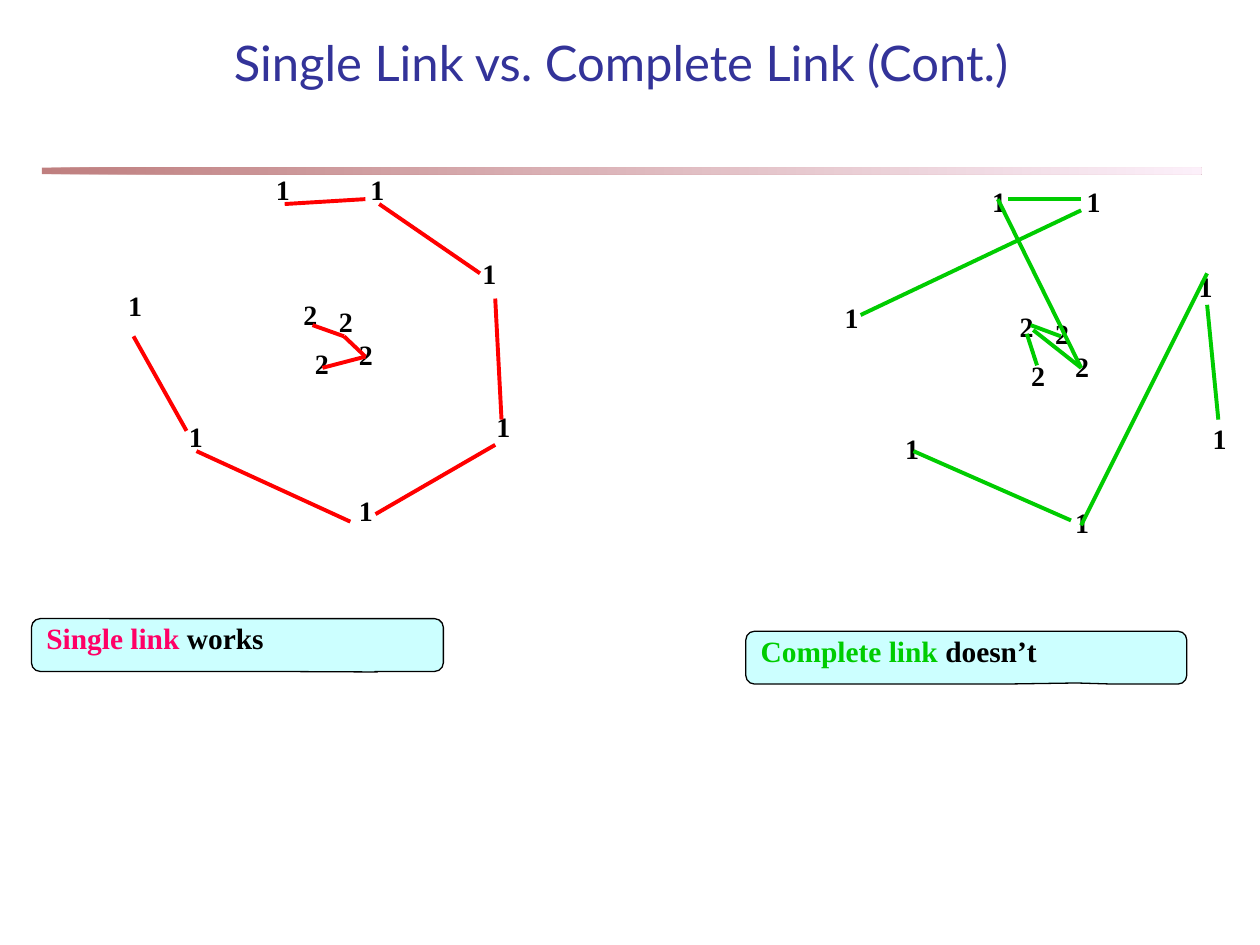
from lxml.etree import SubElement
from pptx import Presentation
from pptx.dml.color import RGBColor
from pptx.enum.shapes import MSO_CONNECTOR, MSO_SHAPE
from pptx.enum.text import MSO_ANCHOR, MSO_AUTO_SIZE, PP_ALIGN
from pptx.oxml.ns import qn
from pptx.util import Pt

STRAIGHT = MSO_CONNECTOR.STRAIGHT
RECTANGLE = MSO_SHAPE.RECTANGLE
CALLOUT = MSO_SHAPE.ROUNDED_RECTANGULAR_CALLOUT
TOP, BOTTOM = MSO_ANCHOR.TOP, MSO_ANCHOR.BOTTOM
LEFT, CENTER = PP_ALIGN.LEFT, PP_ALIGN.CENTER
NO_FIT, GROW = MSO_AUTO_SIZE.NONE, MSO_AUTO_SIZE.SHAPE_TO_FIT_TEXT

TITLE_FONT, BODY_FONT = "Lato", "Times New Roman"
BLACK, RED, GREEN, PINK = "000000", "FF0000", "00CC00", "FF0066"
TITLE_BLUE, PALE_CYAN = "333399", "CCFFFF"

CLUSTER_LABELS = [
    ("1", 66.2, 161.3), ("1", 150.5, 95), ("1", 204.5, 95), ("1", 268.6, 143.3),
    ("1", 276.5, 230.4), ("1", 198, 278.6), ("1", 100.8, 236.2),
    ("2", 166.3, 166.3), ("2", 186.5, 170.6), ("2", 198, 189.4), ("2", 172.8, 194.4),
]
COMPLETE_OFFSET = (409.3, 7)

SINGLE_LINKS = [
    (178.6, 185.8, 196.6, 192.2), (196.6, 192.2, 208.8, 203.8),
    (208.8, 203.8, 184.3, 210.2), (208.8, 113.8, 162.7, 116.6),
    (274.3, 156.2, 216.7, 116.6), (286.6, 239.8, 283, 170.6),
    (214.6, 293.8, 283, 254.2), (112.3, 257.8, 200.2, 298.1),
    (76.3, 192.2, 106.6, 246.2),
]
COMPLETE_LINKS = [
    (606.2, 192.2, 589, 185.8), (592.6, 208.8, 586.8, 190.8),
    (617.8, 210.2, 590.4, 188.6), (617.8, 113.8, 576, 113.8),
    (696.2, 239.8, 689.8, 174.2), (522, 257.8, 612, 297.4),
    (570.2, 113.8, 617.8, 210.2), (491.8, 180, 617.8, 120.2),
    (617.8, 300.2, 689.8, 156.2),
]


def color(value):
    """Return the colour for a hex string."""
    return RGBColor.from_string(value)


def points(*values):
    """Return the lengths given in points."""
    return [Pt(value) for value in values]


def style_font(font, name, size, value, bold=False):
    """Set the face, size, colour and weight of a font."""
    font.name, font.size, font.bold = name, Pt(size), bold
    font.color.rgb = color(value)


def set_title(page, text):
    """Place and format the slide title."""
    title = page.shapes.title
    title.left, title.top, title.width, title.height = points(48.2, 7.9, 613.4, 48.2)
    frame = title.text_frame
    frame.text = text
    frame.auto_size, frame.vertical_anchor = NO_FIT, BOTTOM
    para = frame.paragraphs[0]
    para.alignment = CENTER
    style_font(para.runs[0].font, TITLE_FONT, 28, TITLE_BLUE)


def add_rule(page):
    """Draw the half-transparent gradient bar under the title."""
    rule = page.shapes.add_shape(RECTANGLE, *points(24, 95.8, 662.4, 3.8))
    rule.shadow.inherit = False
    rule.line.fill.background()
    rule.fill.gradient()
    rule.fill.gradient_angle = 0
    for stop, value, position in zip(rule.fill.gradient_stops, ("800000", "FAE2F6"), (0, 1)):
        stop.color.rgb = color(value)
        stop.position = position
    for element in rule.fill._xPr.iter(qn("a:srgbClr")):
        SubElement(element, qn("a:alpha"), val="50000")


def add_callout(page, bounds, tip, parts):
    """Draw a callout holding (text, colour) parts."""
    box = page.shapes.add_shape(CALLOUT, *points(*bounds))
    box.shadow.inherit = False
    box.adjustments[0], box.adjustments[1] = tip
    box.fill.solid()
    box.fill.fore_color.rgb = color(PALE_CYAN)
    box.line.color.rgb = color(BLACK)
    box.line.width = Pt(0.75)
    frame = box.text_frame
    frame.word_wrap, frame.vertical_anchor = True, TOP
    para = frame.paragraphs[0]
    para.alignment, para.line_spacing = LEFT, 0.8
    for text, value in parts:
        span = para.add_run()
        span.text = text
        style_font(span.font, BODY_FONT, 16.8, value, bold=True)


def add_labels(page, offset):
    """Add the group of cluster labels, moved by an offset."""
    group = page.shapes.add_group_shape()
    for text, left, top in CLUSTER_LABELS:
        box = group.shapes.add_textbox(*points(left + offset[0], top + offset[1], 22.3, 26.6))
        frame = box.text_frame
        frame.text = text
        frame.word_wrap, frame.auto_size = False, GROW
        style_font(frame.paragraphs[0].runs[0].font, BODY_FONT, 16, BLACK, bold=True)


def add_links(page, links, value):
    """Draw the link lines in one colour."""
    for ends in links:
        link = page.shapes.add_connector(STRAIGHT, *points(*ends))
        link.line.color.rgb = color(value)
        link.line.width = Pt(2.25)
        SubElement(link._element.spPr, qn("a:effectLst"))


def main():
    """Build and save the slide."""
    deck = Presentation()
    deck.slide_width, deck.slide_height = points(720, 540)
    page = deck.slides.add_slide(deck.slide_layouts[5])
    set_title(page, "Single Link vs. Complete Link (Cont.)")
    add_rule(page)

    add_callout(page, (18, 353.5, 235.4, 30.2), (0.34, 0.51),
                [("Single link", PINK), (" works", BLACK)])
    add_labels(page, (0, 0))
    add_links(page, SINGLE_LINKS, RED)

    add_callout(page, (426.2, 360.7, 252, 30.2), (0.25, 0.48),
                [("Complete link", GREEN), (" doesn’t", BLACK)])
    add_labels(page, COMPLETE_OFFSET)
    add_links(page, COMPLETE_LINKS, GREEN)
    deck.save("out.pptx")


if __name__ == "__main__":
    main()
